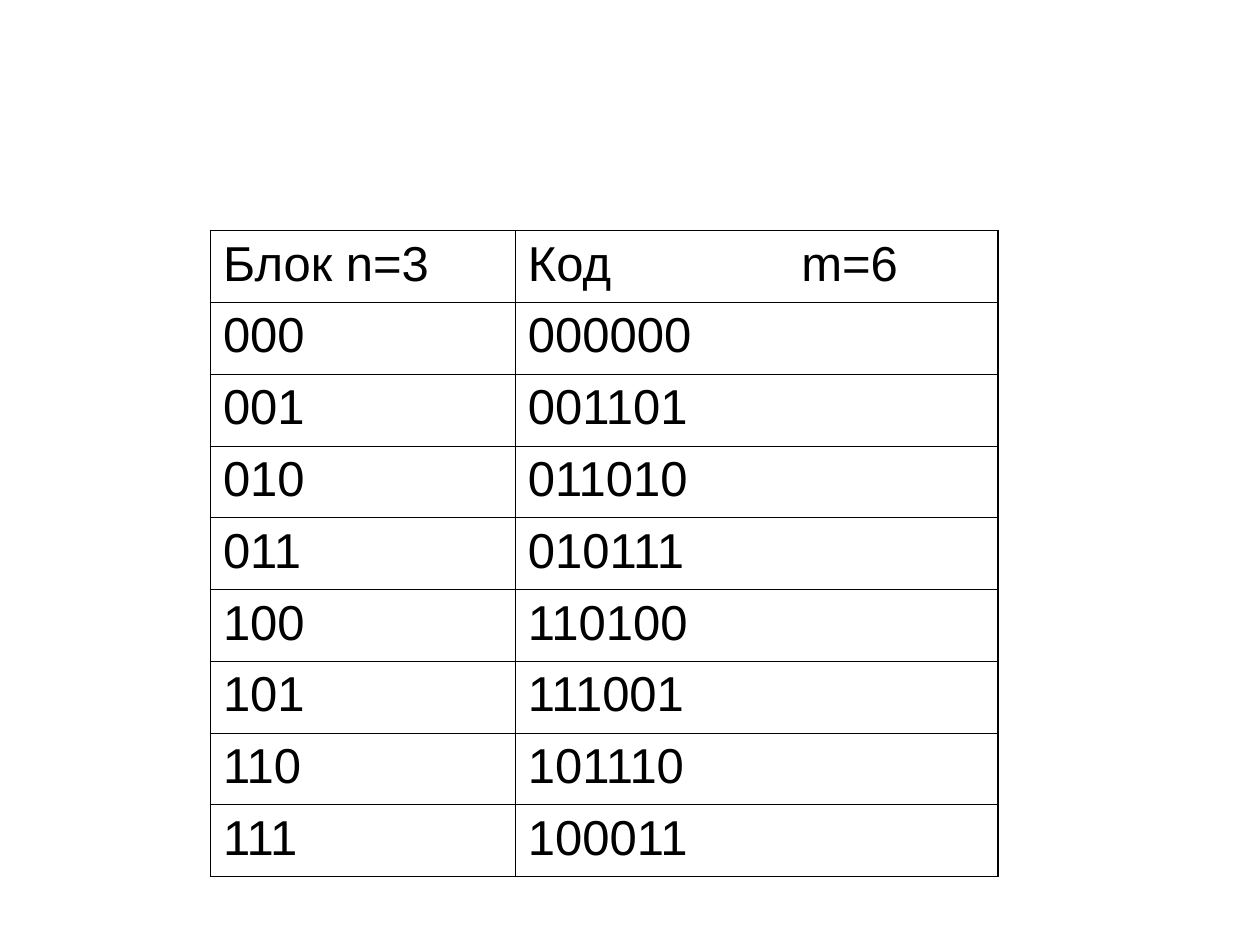
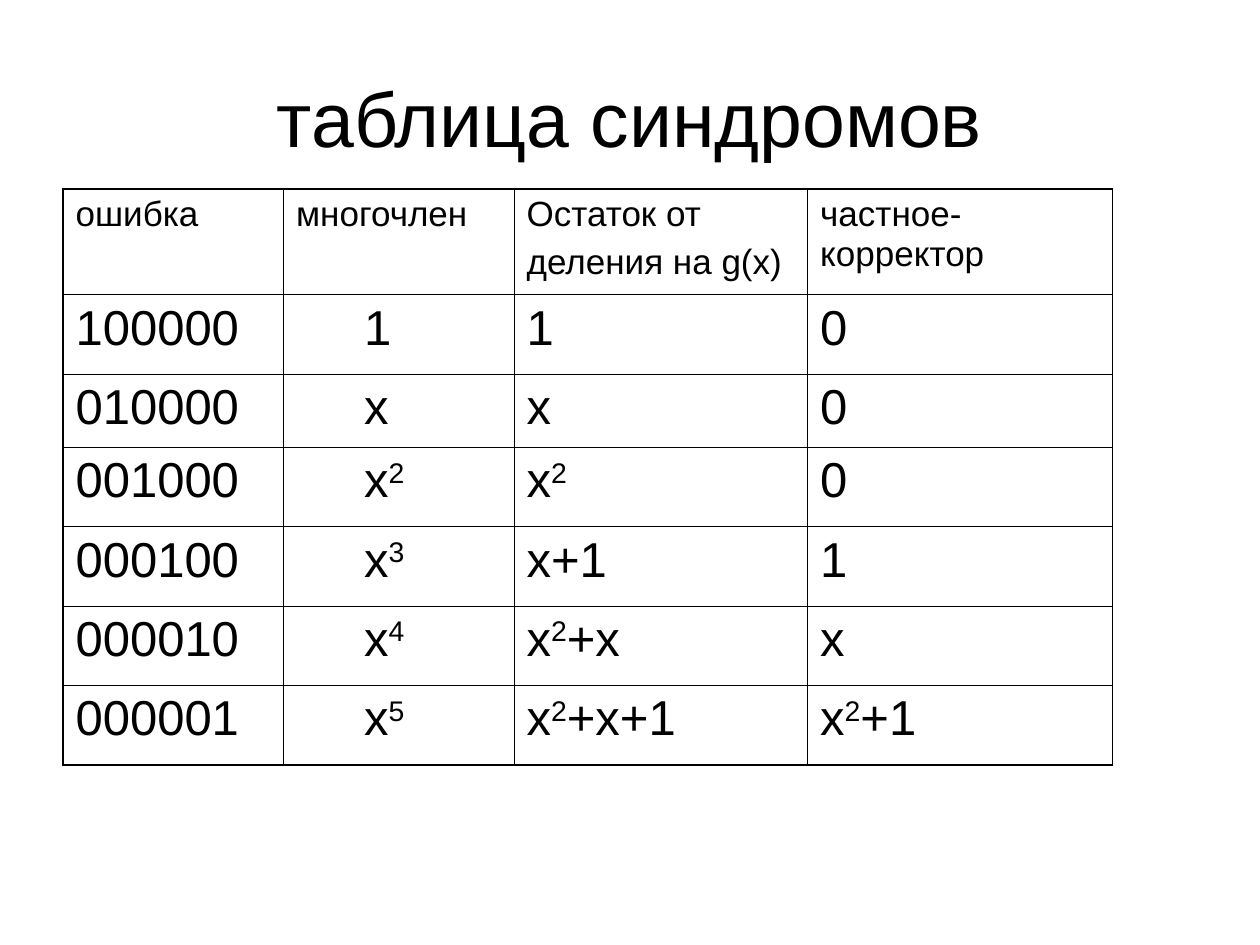
from dataclasses import dataclass

from lxml import etree
from pptx import Presentation
from pptx import util as u
from pptx.dml.color import RGBColor
from pptx.enum import text
from pptx.oxml.ns import qn


@dataclass(frozen=True)
class Theme:
    """Colours, type sizes and line widths shared by the slides."""
    font: str = "Arial"
    ink: RGBColor = RGBColor(0, 0, 0)
    title: int = 44
    body: int = 28
    small: int = 20
    outer: float = 1.08
    inner: float = 0.45


@dataclass(frozen=True)
class Box:
    """A region of the slide in inches."""
    left: float
    top: float
    width: float
    height: float

    def lengths(self):
        """Return the four sides as slide lengths."""
        return [u.Inches(side) for side in (self.left, self.top, self.width, self.height)]


THEME = Theme()
TITLE_ONLY, BLANK = 5, 6

CODE_ROWS = [
    ("Блок n=3", "Код\tm=6"),
    ("000", "000000"),
    ("001", "001101"),
    ("010", "011010"),
    ("011", "010111"),
    ("100", "110100"),
    ("101", "111001"),
    ("110", "101110"),
    ("111", "100011"),
]
SYNDROME_ROWS = [
    ("ошибка", "многочлен", "Остаток от\nделения на g(x)", "частное-корректор"),
    ("100000", "1", "1", "0"),
    ("010000", "x", "x", "0"),
    ("001000", "x^2", "x^2", "0"),
    ("000100", "x^3", "x+1", "1"),
    ("000010", "x^4", "x^2+x", "x"),
    ("000001", "x^5", "x^2+x+1", "x^2+1"),
]


def apply_format(target, values):
    """Set every attribute named in a dict of format values."""
    for name, value in values.items():
        setattr(target, name, value)


def add_run(paragraph, words, size, raised=False):
    """Add one run, raised when it is an exponent."""
    run = paragraph.add_run()
    run.text = words
    apply_format(run.font, {"name": THEME.font, "size": u.Pt(size)})
    run.font.color.rgb = THEME.ink
    if raised:
        run.font._element.set("baseline", "30000")


def write_formula(paragraph, formula, size):
    """Write a formula whose one-digit exponents follow a caret."""
    base, *powers = formula.split("^")
    add_run(paragraph, base, size)
    for power in powers:
        add_run(paragraph, power[0], size, raised=True)
        if power[1:]:
            add_run(paragraph, power[1:], size)


def write_cell(cell, content, size, indent=0, tab=None):
    """Fill a cell with one paragraph for each line of its content."""
    for index, line in enumerate(content.split("\n")):
        frame = cell.text_frame
        paragraph = frame.add_paragraph() if index else frame.paragraphs[0]
        paragraph.space_before = u.Pt(size // 4)
        properties = paragraph._p.get_or_add_pPr()
        if indent:
            properties.set("marL", str(u.Inches(indent)))
        if tab and "\t" in line:
            stops = etree.SubElement(properties, qn("a:tabLst"))
            etree.SubElement(stops, qn("a:tab"), pos=str(u.Inches(tab)), algn="l")
        write_formula(paragraph, line, size)


def draw_borders(cell, outer_sides):
    """Rule all four sides of a cell, heavier on the table's edge."""
    properties = cell._tc.get_or_add_tcPr()
    for index, side in enumerate("LRTB"):
        width = THEME.outer if side in outer_sides else THEME.inner
        line = etree.Element(qn(f"a:ln{side}"), w=str(u.Pt(width)))
        fill = etree.SubElement(line, qn("a:solidFill"))
        etree.SubElement(fill, qn("a:srgbClr"), val=str(THEME.ink))
        properties.insert(index, line)


def add_grid(slide, box, rows, widths, heights, header_size, indents=None, tab=None):
    """Place a ruled table in a box, with indents given by body column."""
    indents = indents or {}
    table = slide.shapes.add_table(len(rows), len(widths), *box.lengths()).table
    apply_format(table, {"first_row": False, "horz_banding": False})
    for column, width in zip(table.columns, widths):
        column.width = u.Inches(width)
    for row, height in zip(table.rows, heights):
        row.height = u.Inches(height)
    for y, row in enumerate(rows):
        for x, content in enumerate(row):
            cell = table.cell(y, x)
            cell.fill.background()
            edges = {"L": x == 0, "R": x == len(widths) - 1,
                     "T": y == 0, "B": y == len(rows) - 1}
            draw_borders(cell, [side for side, on_edge in edges.items() if on_edge])
            size = THEME.body if y else header_size
            write_cell(cell, content, size, indents.get(x, 0) if y else 0, tab)


def set_title(slide, box, words):
    """Move and format the title placeholder."""
    title = slide.shapes.title
    apply_format(title, dict(zip(("left", "top", "width", "height"), box.lengths())))
    apply_format(title.text_frame, {
        "word_wrap": True,
        "auto_size": text.MSO_AUTO_SIZE.NONE,
        "vertical_anchor": text.MSO_ANCHOR.MIDDLE,
    })
    paragraph = title.text_frame.paragraphs[0]
    paragraph.alignment = text.PP_ALIGN.CENTER
    add_run(paragraph, words, THEME.title)


def build_code_slide(presentation, box):
    """Add the table of blocks and their codes."""
    slide = presentation.slides.add_slide(presentation.slide_layouts[BLANK])
    heights = [box.height / len(CODE_ROWS)] * len(CODE_ROWS)
    add_grid(slide, box, CODE_ROWS, (2.42, 3.83), heights, THEME.body, tab=2.17)


def build_syndrome_slide(presentation, title_box, table_box):
    """Add the titled table of syndromes."""
    slide = presentation.slides.add_slide(presentation.slide_layouts[TITLE_ONLY])
    set_title(slide, title_box, "таблица синдромов")
    heights = (0.84, 0.63, 0.58, 0.63, 0.63, 0.63, 0.63)
    add_grid(slide, table_box, SYNDROME_ROWS, (1.75, 1.83, 2.33, 2.42), heights,
             THEME.small, indents={1: 0.54})


def main():
    """Build and save the presentation."""
    presentation = Presentation()
    apply_format(presentation, {"slide_width": u.Inches(10), "slide_height": u.Inches(7.5)})
    build_code_slide(presentation, Box(1.67, 1.83, 6.25, 5.13))
    build_syndrome_slide(presentation, Box(0.5, 0.3, 9, 1.25), Box(0.5, 1.5, 8.33, 4.57))
    presentation.save("out.pptx")


if __name__ == "__main__":
    main()
